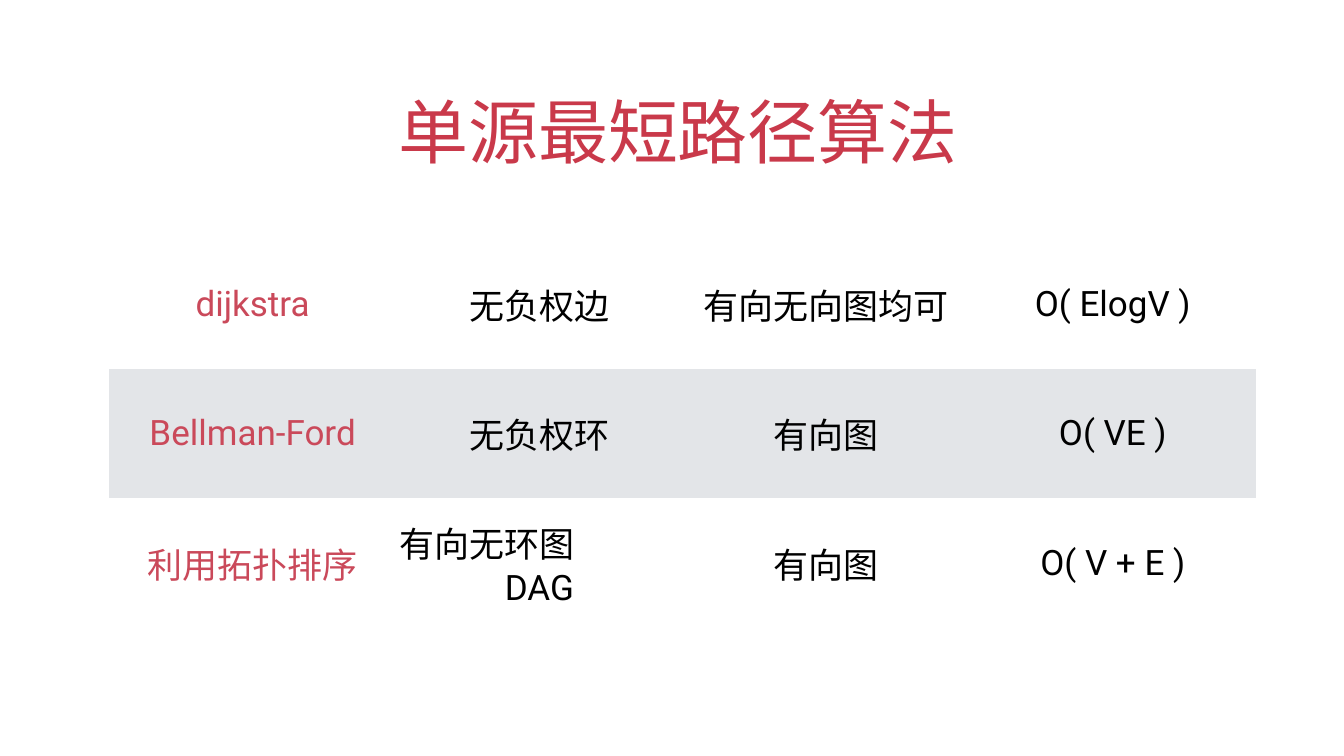
from dataclasses import dataclass

from pptx import Presentation
from pptx.dml.color import RGBColor
from pptx.enum.text import MSO_ANCHOR, MSO_AUTO_SIZE, PP_ALIGN
from pptx.util import Emu, Inches, Pt


@dataclass(frozen=True)
class Theme:
    font: str = "Roboto"
    title_size: int = 100
    cell_size: int = 50
    title_color: str = "C9394A"
    accent: str = "CA495A"
    ink: str = "000000"
    paper: str = "FFFFFF"
    band: str = "E3E5E8"
    inset: float = 0.06
    plain_table: str = "{2D5ABB26-0587-4C30-8999-92F81FD0307C}"


WIDTH, HEIGHT = 26.67, 15
# Left, top, width and height as shares of the slide
TITLE_AREA = (1.94 / WIDTH, 1.27 / HEIGHT, 22.78 / WIDTH, 2.22 / HEIGHT)
TABLE_AREA = (2.17 / WIDTH, 4.75 / HEIGHT, 22.76 / WIDTH, 7.71 / HEIGHT)

# Algorithm, restriction, graph type, running time
ALGORITHMS = [
    ["dijkstra", "无负权边", "有向无向图均可", "O( ElogV )"],
    ["Bellman-Ford", "无负权环", "有向图", "O( VE )"],
    ["利用拓扑排序", "有向无环图\nDAG", "有向图", "O( V + E )"],
]


def write(frame, text, *, font, size, color, indent=0, first_align=PP_ALIGN.CENTER):
    """Fill a text frame, one paragraph per line of text."""
    frame.text = text
    for number, paragraph in enumerate(frame.paragraphs):
        paragraph.alignment = PP_ALIGN.CENTER if number else first_align
        if indent:
            paragraph._p.get_or_add_pPr().set("indent", str(Inches(indent)))
        for run in paragraph.runs:
            run.font.name = font
            run.font.size = Pt(size)
            run.font.color.rgb = RGBColor.from_string(color)


class SlideBuilder:
    def __init__(self, deck, theme):
        self.deck = deck
        self.theme = theme
        self.slide = deck.slides.add_slide(deck.slide_layouts[0])
        subtitle = self.slide.placeholders[1].element
        subtitle.getparent().remove(subtitle)
        background = self.slide.background.fill
        background.solid()
        background.fore_color.rgb = RGBColor.from_string(theme.paper)

    def area(self, shares):
        sides = (self.deck.slide_width, self.deck.slide_height) * 2
        return [Emu(round(share * side)) for share, side in zip(shares, sides)]

    def set_margins(self, holder):
        inset = Inches(self.theme.inset)
        holder.margin_left = holder.margin_right = inset
        holder.margin_top = holder.margin_bottom = inset

    def title(self, text, shares):
        heading = self.slide.shapes.title
        heading.left, heading.top, heading.width, heading.height = self.area(shares)
        frame = heading.text_frame
        frame.word_wrap = True
        frame.auto_size = MSO_AUTO_SIZE.NONE
        frame.vertical_anchor = MSO_ANCHOR.BOTTOM
        self.set_margins(frame)
        write(frame, text, font=self.theme.font, size=self.theme.title_size,
              color=self.theme.title_color, indent=0.25)

    def table(self, rows, shares):
        theme = self.theme
        grid = self.slide.shapes.add_table(len(rows), len(rows[0]), *self.area(shares)).table
        grid.first_row = grid.horz_banding = False
        grid._tbl.tblPr[0].text = theme.plain_table
        for r, row in enumerate(rows):
            for c, text in enumerate(row):
                cell = grid.cell(r, c)
                cell.fill.solid()
                cell.fill.fore_color.rgb = RGBColor.from_string(
                    theme.band if r % 2 else theme.paper)
                cell.vertical_anchor = MSO_ANCHOR.MIDDLE
                self.set_margins(cell)
                # A two-line entry starts at the cell's left edge
                write(cell.text_frame, text, font=theme.font, size=theme.cell_size,
                      color=theme.ink if c else theme.accent,
                      first_align=PP_ALIGN.LEFT if "\n" in text else PP_ALIGN.CENTER)


def main():
    deck = Presentation()
    deck.slide_width, deck.slide_height = Inches(WIDTH), Inches(HEIGHT)
    builder = SlideBuilder(deck, Theme())

    # Heading
    builder.title("单源最短路径算法", TITLE_AREA)

    # Comparison of the algorithms
    builder.table(ALGORITHMS, TABLE_AREA)

    deck.save("out.pptx")


if __name__ == "__main__":
    main()
